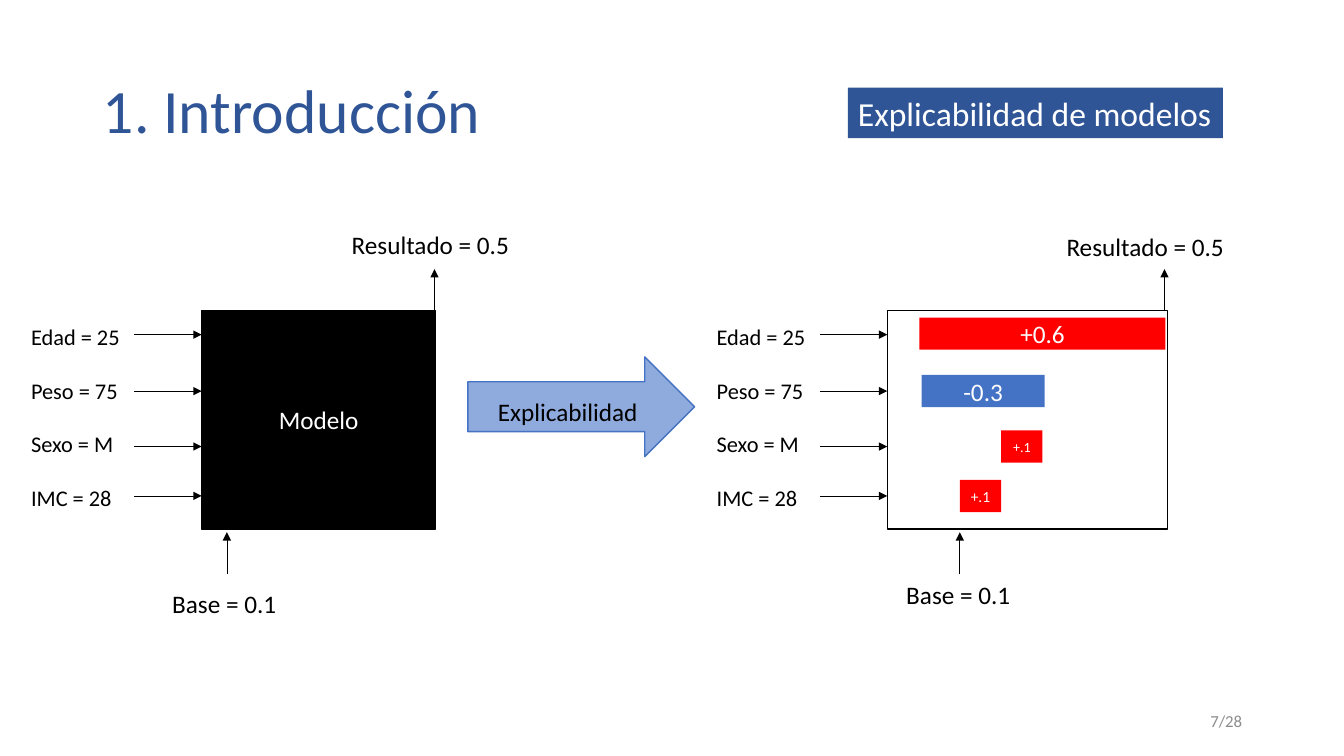
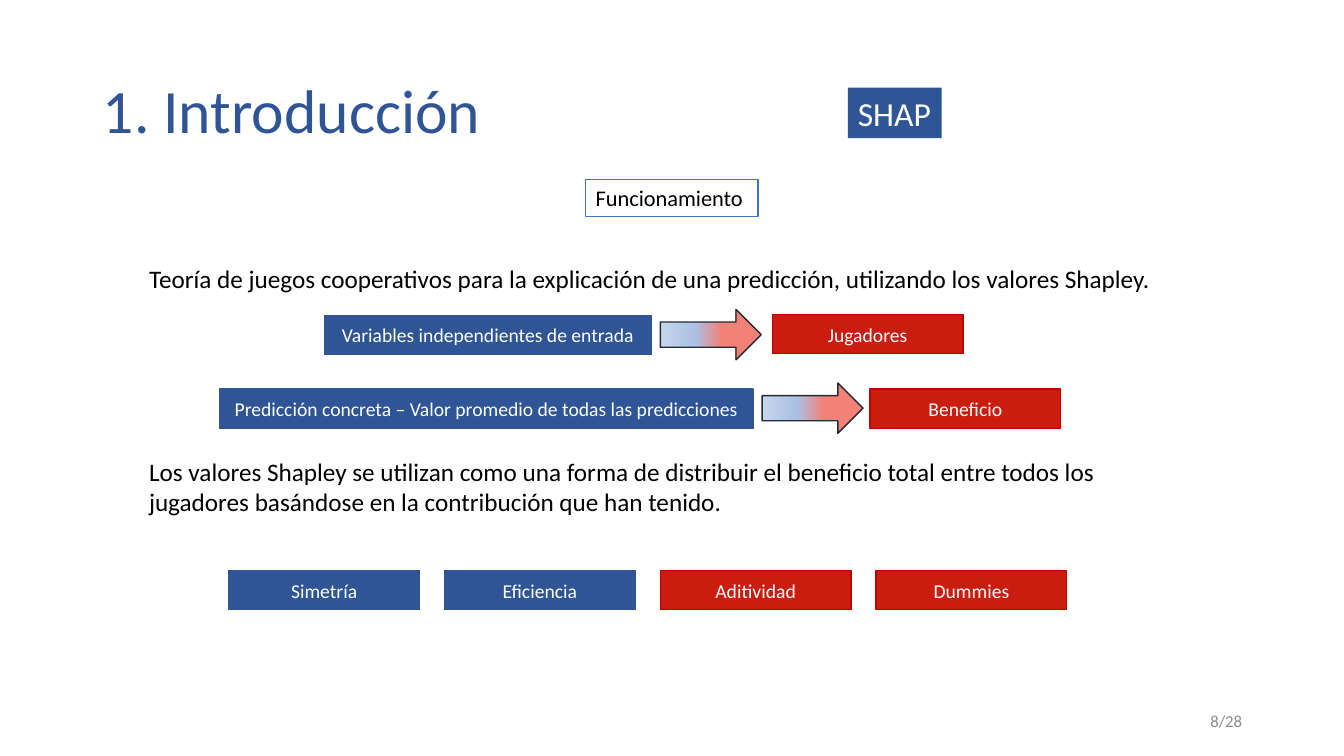
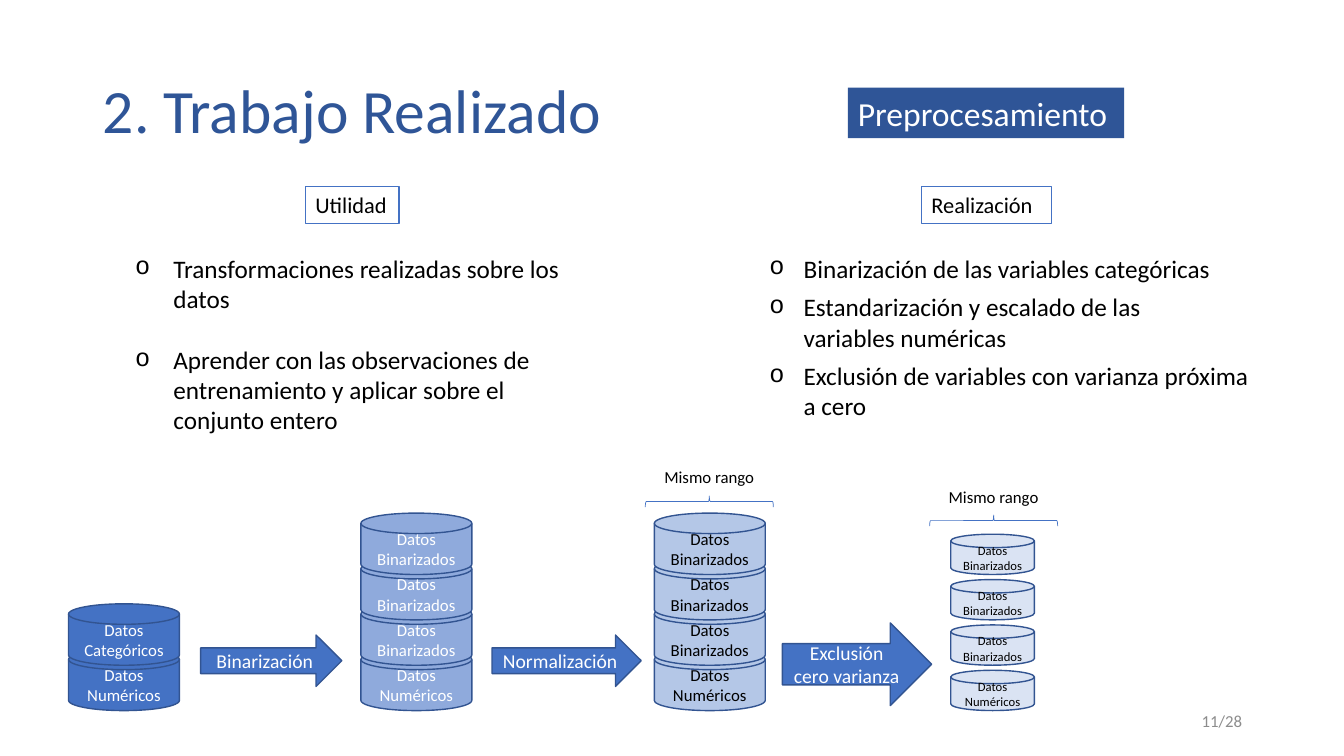
from copy import deepcopy
from dataclasses import dataclass

from lxml import etree
from pptx import Presentation
from pptx.dml.color import RGBColor
from pptx.enum.shapes import MSO_CONNECTOR, MSO_SHAPE
from pptx.enum.text import MSO_ANCHOR, MSO_AUTO_SIZE, PP_ALIGN
from pptx.oxml.ns import qn
from pptx.util import Inches, Pt

RECTANGLE = MSO_SHAPE.RECTANGLE
RIGHT_ARROW = MSO_SHAPE.RIGHT_ARROW
DISK = MSO_SHAPE.FLOWCHART_MAGNETIC_DISK
LEFT_BRACE = MSO_SHAPE.LEFT_BRACE
STRAIGHT = MSO_CONNECTOR.STRAIGHT
LEFT, CENTER, RIGHT = PP_ALIGN.LEFT, PP_ALIGN.CENTER, PP_ALIGN.RIGHT
TOP, MIDDLE = MSO_ANCHOR.TOP, MSO_ANCHOR.MIDDLE
NO_AUTOFIT = MSO_AUTO_SIZE.NONE
TWO_CONTENT, TITLE_ONLY = 3, 5


@dataclass(frozen=True)
class Theme:
    font: str = "Calibri"
    bullet_font: str = "Courier New"
    navy: str = "2F5597"
    navy_edge: str = "325491"
    blue: str = "4472C4"
    mid_blue: str = "8FAADC"
    light_blue: str = "B4C7E7"
    pale_blue: str = "DAE3F3"
    red: str = "CA1D10"
    red_edge: str = "C00000"
    bright_red: str = "FF0000"
    arrow_edge: str = "222A35"
    gray: str = "8C8C8C"
    black: str = "000000"
    white: str = "FFFFFF"
    gradient: tuple = ((0, "C7D5ED"), (0.35, "ABC0E4"), (0.61, "F48178"))
    title_size: int = 44
    topic_size: int = 24
    text_size: int = 18
    label_size: int = 16
    chip_size: int = 14
    small_size: int = 12
    tiny_size: int = 9


THEME = Theme()


def rgb(color):
    return RGBColor.from_string(color)


def place(shape, box):
    shape.left, shape.top, shape.width, shape.height = map(Inches, box)


def write(shape, text, size, color, align=LEFT, anchor=TOP, gap=0):
    """Fill a shape with one paragraph per line of text, gap points apart."""
    frame = shape.text_frame
    frame.text = text
    frame.word_wrap = True
    frame.auto_size = NO_AUTOFIT
    frame.vertical_anchor = anchor
    for paragraph in frame.paragraphs:
        paragraph.alignment = align
        paragraph.space_before = Pt(0)
        paragraph.space_after = Pt(gap)
        paragraph.font.name = THEME.font
        paragraph.font.size = Pt(size)
        paragraph.font.color.rgb = rgb(color)


def add_text(slide, box, text, size=THEME.text_size, color=THEME.black, **style):
    shape = slide.shapes.add_textbox(*map(Inches, box))
    write(shape, text, size, color, **style)
    shape.text_frame.margin_right = 0
    return shape


def add_figure(slide, preset, box, fill=None, line=None, line_width=1):
    shape = slide.shapes.add_shape(preset, *map(Inches, box))
    shape.shadow.inherit = False
    if fill:
        shape.fill.solid()
        shape.fill.fore_color.rgb = rgb(fill)
    else:
        shape.fill.background()
    if line:
        shape.line.color.rgb = rgb(line)
        shape.line.width = Pt(line_width)
    else:
        shape.line.fill.background()
    return shape


def add_labelled(slide, preset, box, text, fill, line=None,
                 size=THEME.chip_size, color=THEME.white):
    shape = add_figure(slide, preset, box, fill, line)
    write(shape, text, size, color, CENTER, MIDDLE)
    return shape


def add_tag(slide, box, text):
    """Small outlined heading."""
    tag = add_figure(slide, RECTANGLE, box, THEME.white, THEME.blue)
    write(tag, text, THEME.label_size, THEME.black)
    tag.text_frame.margin_right = 0


def add_chip(slide, box, text, is_red=False):
    fill, line = ((THEME.red, THEME.red_edge) if is_red
                  else (THEME.navy, THEME.navy_edge))
    add_labelled(slide, RECTANGLE, box, text, fill, line)


def add_bar(slide, box, text, fill, size=THEME.text_size):
    bar = add_labelled(slide, RECTANGLE, box, text, fill, size=size)
    bar.text_frame.margin_left = bar.text_frame.margin_right = 0


def add_arrow(slide, start, end):
    connector = slide.shapes.add_connector(
        STRAIGHT, *map(Inches, (*start, *end)))
    connector.line.color.rgb = rgb(THEME.black)
    connector.line.width = Pt(0.5)
    line = connector.line._get_or_add_ln()
    etree.SubElement(line, qn("a:tailEnd"), type="triangle")
    etree.SubElement(connector._element.spPr, qn("a:effectLst"))


def add_gradient_arrow(slide, left, top):
    arrow = add_figure(slide, RIGHT_ARROW, (left, top, 1, 0.5),
                       line=THEME.arrow_edge)
    arrow.fill.gradient()
    arrow.fill.gradient_angle = 0
    stop_list = arrow._element.spPr.find(".//" + qn("a:gsLst"))
    stop_list.append(deepcopy(stop_list[0]))
    for stop, (position, color) in zip(arrow.fill.gradient_stops, THEME.gradient):
        stop.position = position
        stop.color.rgb = rgb(color)


def fill_list(placeholder, box, items, indent, gap):
    """Turn a body placeholder into a list with round bullets."""
    place(placeholder, box)
    write(placeholder, "\n".join(items), THEME.text_size, THEME.black, gap=gap)
    for paragraph in placeholder.text_frame.paragraphs:
        properties = paragraph._p.get_or_add_pPr()
        properties.set("marL", str(Inches(indent)))
        properties.set("indent", str(-Inches(indent)))
        etree.SubElement(properties, qn("a:buFont"), typeface=THEME.bullet_font)
        etree.SubElement(properties, qn("a:buChar"), char="o")


def add_slide(presentation, layout, title, title_width, topic, topic_width, number):
    """Start a slide with the shared title, topic band and page number."""
    slide = presentation.slides.add_slide(presentation.slide_layouts[layout])
    heading = slide.shapes.title
    place(heading, (0.92, 0.4, title_width, 1.45))
    write(heading, title, THEME.title_size, THEME.navy, anchor=MIDDLE)
    heading.text_frame.paragraphs[0].line_spacing = 0.9
    heading.text_frame.margin_right = 0

    band = add_figure(slide, RECTANGLE, (8.41, 0.87, topic_width, 0.5), THEME.navy)
    write(band, topic, THEME.topic_size, THEME.white)
    band.text_frame.margin_right = 0

    page = add_text(slide, (9.42, 6.95, 3, 0.4), f"{number}/28", THEME.small_size,
                    THEME.gray, align=RIGHT, anchor=MIDDLE)
    page.text_frame.margin_right = Inches(0.1)
    return slide


def add_model(slide, left, width, fill, result_x, result_label, base_x, base_label):
    """Model box with its four inputs, its base value and its result."""
    top, height = 3.08, 2.17
    model = add_figure(slide, RECTANGLE, (left, top, width, height),
                       fill, THEME.black)
    add_text(slide, (left - 1.79, 3.16, 1.79, 2.02),
             "Edad = 25\nPeso = 75\nSexo = M\nIMC = 28",
             THEME.label_size, gap=19)
    for y in (3.32, 3.88, 4.43, 4.92):
        add_arrow(slide, (left - 0.67, y), (left, y))
    add_arrow(slide, (result_x, top), (result_x, 2.67))
    add_arrow(slide, (base_x, 5.69), (base_x, 5.28))
    add_text(slide, (*result_label, 1.83, 0.4), "Resultado = 0.5")
    add_text(slide, (*base_label, 1.27, 0.4), "Base = 0.1")
    return model


def add_stack(slide, left, labels, fill, color, width=1.1, height=0.61,
              size=THEME.small_size):
    """Pile of data disks, listed from the bottom up."""
    for level, label in enumerate(labels):
        top = 7.05 - height - 0.45 * level
        add_labelled(slide, DISK, (left, top, width, height), f"Datos {label}",
                     fill, THEME.navy_edge, size, color)


def add_range_brace(slide, brace_left, brace_top, label_left, label_top):
    brace = add_figure(slide, LEFT_BRACE, (brace_left, brace_top, 0.11, 1.27),
                       line=THEME.blue, line_width=0.5)
    brace.rotation = 90
    add_text(slide, (label_left, label_top, 1.12, 0.3), "Mismo rango",
             THEME.small_size)


def build_explainability(presentation):
    slide = add_slide(presentation, TITLE_ONLY, "1. Introducción", 4.01,
                      "Explicabilidad de modelos", 3.72, 7)
    model = add_model(slide, 2, 2.32, THEME.black, 4.31, (3.39, 2.23),
                      2.25, (1.61, 5.79))
    write(model, "Modelo", THEME.text_size, THEME.white, CENTER, MIDDLE)

    add_model(slide, 8.8, 2.78, None, 11.55, (10.48, 2.25), 9.52, (8.89, 5.7))
    add_bar(slide, (9.12, 3.15, 2.44, 0.32), "+0.6", THEME.bright_red)
    add_bar(slide, (9.14, 3.72, 1.22, 0.32), "-0.3", THEME.blue)
    add_bar(slide, (9.93, 4.27, 0.41, 0.32), "+.1", THEME.bright_red, 10)
    add_bar(slide, (9.52, 4.76, 0.41, 0.32), "+.1", THEME.bright_red, 11)

    add_figure(slide, RIGHT_ARROW, (4.64, 3.54, 2.25, 0.99),
               THEME.mid_blue, THEME.blue)
    add_text(slide, (4.84, 3.88, 1.79, 0.4), "Explicabilidad")


def build_shap(presentation):
    slide = add_slide(presentation, TITLE_ONLY, "1. Introducción", 4.01,
                      "SHAP", 0.93, 8)
    add_tag(slide, (5.81, 1.78, 1.71, 0.37), "Funcionamiento")
    add_text(slide, (1.38, 2.56, 10.1, 0.4),
             "Teoría de juegos cooperativos para la explicación de una "
             "predicción, utilizando los valores Shapley.")
    add_text(slide, (1.38, 4.48, 10.1, 0.7),
             "Los valores Shapley se utilizan como una forma de distribuir el "
             "beneficio total entre todos los jugadores basándose en la "
             "contribución que han tenido.")

    chip_width, chip_height = 1.89, 0.39
    add_chip(slide, (3.22, 3.13, 3.24, chip_height),
             "Variables independientes de entrada")
    add_gradient_arrow(slide, 6.55, 3.07)
    add_chip(slide, (7.66, 3.12, chip_width, chip_height), "Jugadores", True)
    add_chip(slide, (2.18, 3.86, 5.29, chip_height),
             "Predicción concreta – Valor promedio de todas las predicciones")
    add_gradient_arrow(slide, 7.56, 3.8)
    add_chip(slide, (8.63, 3.86, chip_width, chip_height), "Beneficio", True)

    properties = ("Simetría", "Eficiencia", "Aditividad", "Dummies")
    for column, name in enumerate(properties):
        add_chip(slide, (2.27 + 2.14 * column, 5.66, chip_width, chip_height),
                 name, column >= 2)


def build_preprocessing(presentation):
    slide = add_slide(presentation, TWO_CONTENT, "2. Trabajo Realizado", 5.15,
                      "Preprocesamiento", 2.74, 11)
    add_tag(slide, (3.03, 1.85, 0.93, 0.37), "Utilidad")
    add_tag(slide, (9.14, 1.85, 1.29, 0.37), "Realización")
    fill_list(slide.placeholders[1], (1.24, 2.46, 4.51, 1.92), (
        "Transformaciones realizadas sobre los datos",
        "Aprender con las observaciones de entrenamiento y aplicar sobre el "
        "conjunto entero",
    ), indent=0.38, gap=22)
    fill_list(slide.placeholders[2], (7.53, 2.46, 5.05, 1.77), (
        "Binarización de las variables categóricas",
        "Estandarización y escalado de las\vvariables numéricas",
        "Exclusión de variables con varianza próxima a cero",
    ), indent=0.34, gap=6)

    binarized = ("Numéricos",) + ("Binarizados",) * 3
    add_stack(slide, 0.68, ("Numéricos", "Categóricos"), THEME.blue, THEME.white)
    add_stack(slide, 3.58, binarized, THEME.mid_blue, THEME.white)
    add_stack(slide, 6.49, binarized, THEME.light_blue, THEME.black)
    add_stack(slide, 9.43, binarized, THEME.pale_blue, THEME.black,
              width=0.83, height=0.4, size=THEME.tiny_size)

    steps = (
        ((1.99, 6.3, 1.4, 0.51), "Binarización"),
        ((4.88, 6.3, 1.48, 0.51), "Normalización"),
        ((7.76, 6.18, 1.48, 0.82), "Exclusión cero varianza"),
    )
    for box, name in steps:
        add_labelled(slide, RIGHT_ARROW, box, name, THEME.blue, THEME.navy_edge)
    add_range_brace(slide, 6.98, 4.34, 6.49, 4.58)
    add_range_brace(slide, 9.8, 4.53, 9.31, 4.78)


def main():
    presentation = Presentation()
    presentation.slide_width = Inches(13.33)
    presentation.slide_height = Inches(7.5)
    build_explainability(presentation)
    build_shap(presentation)
    build_preprocessing(presentation)
    presentation.save("out.pptx")


if __name__ == "__main__":
    main()
